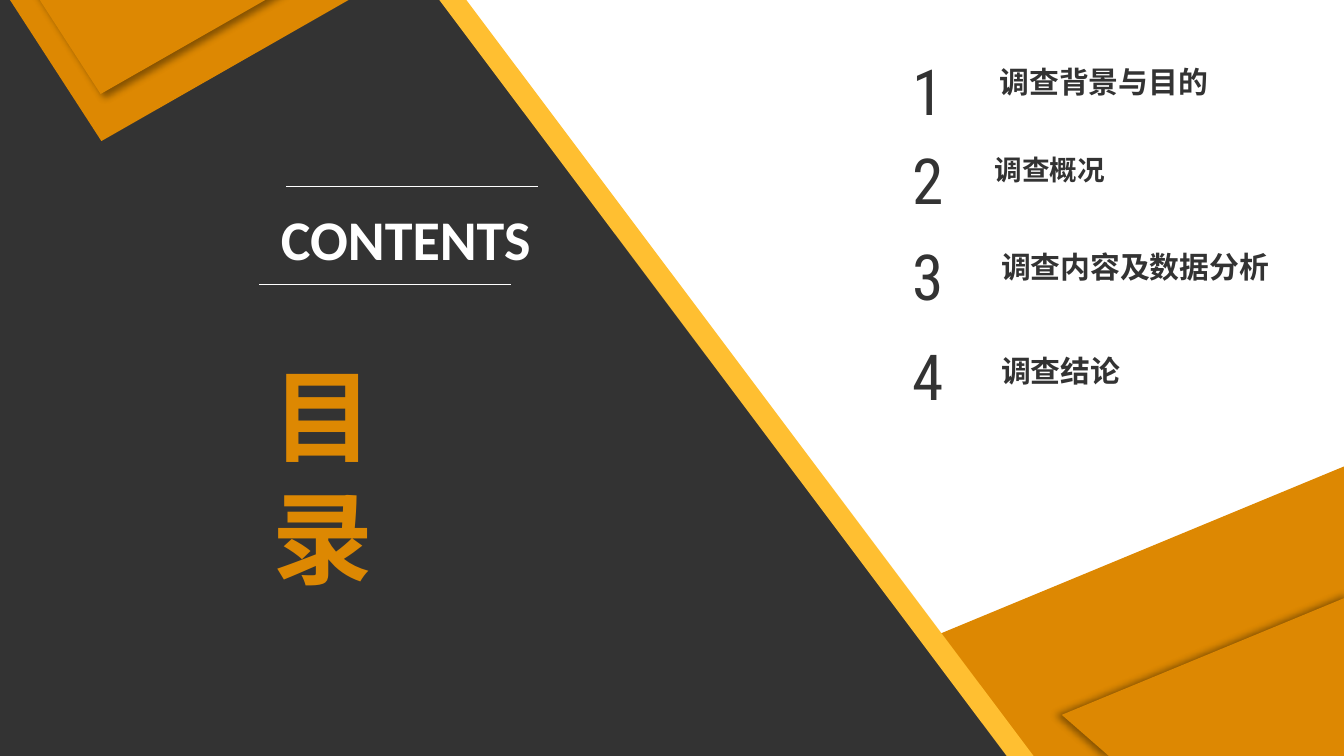
from pptx import Presentation
from pptx.dml.color import RGBColor
from pptx.enum.shapes import MSO_CONNECTOR, MSO_SHAPE
from pptx.enum.text import MSO_ANCHOR, PP_ALIGN
from pptx.oxml import parse_xml
from pptx.oxml.ns import nsdecls, qn
from pptx.util import Pt
from lxml.etree import SubElement

DARK = "333333"
ORANGE = "DD8802"
YELLOW = "FFBF31"
WHITE = "FFFFFF"
CHINESE_FONT = "Noto Sans CJK SC"


def color(value):
    return RGBColor.from_string(value)


def write_text(frame, text, font="Calibri", size=16, fill=DARK, bold=False,
               align=PP_ALIGN.LEFT, spacing=None):
    paragraph = frame.paragraphs[0]
    paragraph.alignment = align
    if spacing:
        paragraph.line_spacing = Pt(spacing)
    run = paragraph.add_run()
    run.text = text
    run.font.name = font
    run.font.size = Pt(size)
    run.font.bold = bold
    run.font.color.rgb = color(fill)
    SubElement(run.font._element, qn("a:ea"), typeface=CHINESE_FONT)


def add_shadow(shape, direction):
    properties = shape.element.spPr
    properties.remove(properties.find(qn("a:effectLst")))
    properties.append(parse_xml(
        f'<a:effectLst {nsdecls("a")}>'
        f'<a:outerShdw blurRad="{Pt(4)}" dist="{Pt(3)}" dir="{direction * 60000}" rotWithShape="0">'
        '<a:srgbClr val="000000"><a:alpha val="40000"/></a:srgbClr>'
        '</a:outerShdw></a:effectLst>'))


class SlideBuilder:
    def __init__(self, slide):
        self.slide = slide

    def paint(self, shape, fill, shadow):
        shape.shadow.inherit = False
        shape.fill.solid()
        shape.fill.fore_color.rgb = color(fill)
        shape.line.fill.background()
        if shadow is not None:
            add_shadow(shape, shadow)

    def polygon(self, points, fill, shadow=None):
        corners = [(Pt(x), Pt(y)) for x, y in points]
        builder = self.slide.shapes.build_freeform(*corners[0], scale=1.0)
        builder.add_line_segments(corners[1:], close=True)
        self.paint(builder.convert_to_shape(), fill, shadow)

    def triangle(self, left, top, width, height, fill, shadow=None):
        shape = self.slide.shapes.add_shape(
            MSO_SHAPE.ISOSCELES_TRIANGLE, Pt(left), Pt(top), Pt(width), Pt(height))
        shape.adjustments[0] = 0.27
        shape.element.spPr.xfrm.set("flipV", "1")
        self.paint(shape, fill, shadow)

    def line(self, left, top, width):
        connector = self.slide.shapes.add_connector(
            MSO_CONNECTOR.STRAIGHT, Pt(left), Pt(top), Pt(left + width), Pt(top))
        connector.line.color.rgb = color(WHITE)
        connector.line.width = Pt(0.5)
        SubElement(connector.element.spPr, qn("a:effectLst"))

    def text(self, text, left, top, width, height, anchor=MSO_ANCHOR.TOP, wrap=True, **style):
        shape = self.slide.shapes.add_textbox(Pt(left), Pt(top), Pt(width), Pt(height))
        frame = shape.text_frame
        frame.margin_left = frame.margin_right = frame.margin_top = frame.margin_bottom = 0
        frame.word_wrap = wrap
        frame.vertical_anchor = anchor
        write_text(frame, text, **style)


def main():
    presentation = Presentation()
    presentation.slide_width = Pt(720)
    presentation.slide_height = Pt(405)
    builder = SlideBuilder(presentation.slides.add_slide(presentation.slide_layouts[6]))

    builder.polygon([(487.4, 405), (723.6, 405), (723.6, 248.4), (442.1, 365)], ORANGE)
    builder.polygon([(594, 405), (723.6, 405), (723.6, 319), (568.8, 383)], ORANGE, shadow=180)
    builder.polygon([(-3.6, -5.8), (237.6, -5.8), (545.8, 405), (-3.6, 405)], DARK)
    builder.polygon([(539.3, 405), (231, -5.8), (245.5, -5.8), (553.7, 405)], YELLOW)
    builder.triangle(0.7, -7.2, 198.7, 82.8, ORANGE)
    builder.triangle(16.6, -7.2, 138.2, 57.6, ORANGE, shadow=45)

    agenda = [
        ("调查背景与目的", 16, 27.4, 535.5, 53.3),
        ("调查概况", 14.8, 74.9, 533, 99.4),
        ("调查内容及数据分析", 16, 126.7, 536.4, 152.6),
        ("调查结论", 16, 180, 536.4, 208.1),
    ]
    for number, (title, size, number_top, title_left, title_bottom) in enumerate(agenda, 1):
        builder.text(str(number), 484, number_top, 26, 41.8, anchor=MSO_ANCHOR.MIDDLE,
                     wrap=False, font="Roboto Condensed", size=34, align=PP_ALIGN.CENTER)
        builder.text(title, title_left, title_bottom - 20, 180, 20,
                     anchor=MSO_ANCHOR.BOTTOM, size=size, bold=True)

    builder.line(153.4, 100, 134.6)
    builder.text("CONTENTS", 150.5, 109.4, 145, 36.7, size=30, fill=WHITE, bold=True)
    builder.line(139, 152.6, 134.6)
    builder.text("目录", 146.2, 189.4, 104.4, 131, font=CHINESE_FONT, size=54,
                 fill=ORANGE, bold=True, spacing=65)

    presentation.save("out.pptx")


if __name__ == "__main__":
    main()
